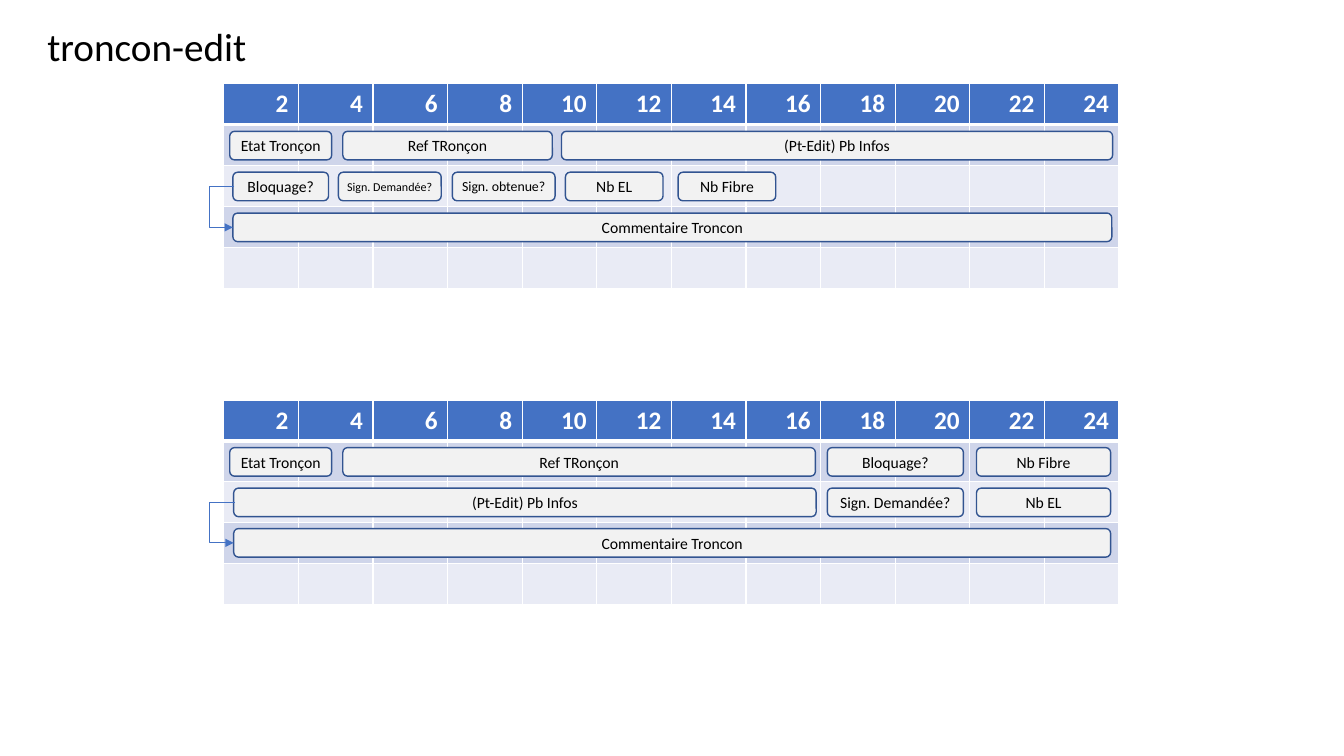
"""Build the troncon-edit slide: two 24-column form grids with their fields."""
from lxml import etree
from pptx import Presentation
from pptx.dml.color import RGBColor
from pptx.enum import shapes, text
from pptx.oxml import ns
from pptx.util import Cm, Pt

BLACK = RGBColor(0x00, 0x00, 0x00)
WHITE = RGBColor(0xFF, 0xFF, 0xFF)
BLUE = RGBColor(0x44, 0x72, 0xC4)
NAVY = RGBColor(0x32, 0x54, 0x91)
GREY = RGBColor(0xF2, 0xF2, 0xF2)
BANDS = RGBColor(0xCF, 0xD5, 0xEA), RGBColor(0xE9, 0xEB, 0xF5)

LEFT, COL, ROW = 5.64, 1.88, 1.03
COLS, ROWS = 12, 5
HIGH, FIRST = 0.72, 1.2


class Deck:
    """Hold the style and the current slide."""

    font = "Calibri"

    def __init__(self):
        self.prs = Presentation()
        self.prs.slide_width, self.prs.slide_height = Cm(33.87), Cm(19.05)
        self.slide = self.prs.slides.add_slide(self.prs.slide_layouts[5])

    def label(self, frame, words, size, color=BLACK, align=text.PP_ALIGN.CENTER, bold=False):
        par = frame.paragraphs[0]
        par.alignment = align
        run = par.add_run()
        run.text = words
        run.font.name, run.font.size, run.font.bold = self.font, Pt(size), bold
        run.font.color.rgb = color

    def title(self, words):
        box = self.slide.shapes.title
        box.left, box.top, box.width, box.height = Cm(0.94), Cm(0.43), Cm(11.5), Cm(1.45)
        frame = box.text_frame
        frame.auto_size = text.MSO_AUTO_SIZE.NONE
        frame.vertical_anchor = text.MSO_ANCHOR.MIDDLE
        self.label(frame, words, 28, align=text.PP_ALIGN.LEFT)

    def edge(self, cell, side, width):
        line = etree.SubElement(cell._tc.get_or_add_tcPr(), ns.qn("a:ln" + side), w=str(Pt(width)))
        fill = etree.SubElement(line, ns.qn("a:solidFill"))
        etree.SubElement(fill, ns.qn("a:srgbClr"), val=str(WHITE))

    def grid(self, top):
        frame = self.slide.shapes.add_table(
            ROWS, COLS, Cm(LEFT), Cm(top), Cm(COLS * COL), Cm(ROWS * ROW))
        table = frame.table
        for col in table.columns:
            col.width = Cm(COL)
        for y, row in enumerate(table.rows):
            row.height = Cm(ROW)
            for x, cell in enumerate(row.cells):
                thick = {"T": 3 if y == 1 else 1, "B": 3 if y == 0 else 1}
                for side in "LRTB":
                    self.edge(cell, side, thick.get(side, 1))
                cell.fill.solid()
                cell.fill.fore_color.rgb = BANDS[(y - 1) % 2] if y else BLUE
                if y == 0:
                    self.label(cell.text_frame, str(2 * x + 2), 18, WHITE,
                               text.PP_ALIGN.RIGHT, True)

    def field(self, words, left, top, width, size=11.2):
        box = self.slide.shapes.add_shape(
            shapes.MSO_SHAPE.ROUNDED_RECTANGLE, Cm(left), Cm(top), Cm(width), Cm(HIGH))
        box.shadow.inherit = False
        box.fill.solid()
        box.fill.fore_color.rgb = GREY
        box.line.color.rgb, box.line.width = NAVY, Pt(1)
        frame = box.text_frame
        frame.word_wrap = True
        frame.vertical_anchor = text.MSO_ANCHOR.MIDDLE
        frame.margin_left = frame.margin_right = Cm(0.1)
        frame.margin_top = frame.margin_bottom = Cm(0.13)
        self.label(frame, words, size)

    def arrow(self, left, start, end):
        back, reach = 0.03, 0.6
        link = self.slide.shapes.add_connector(
            shapes.MSO_CONNECTOR.ELBOW, Cm(left + back), Cm(start), Cm(left), Cm(end))
        link.line.color.rgb, link.line.width = BLUE, Pt(0.5)
        prop = link._element.spPr
        guide = prop.find(ns.qn("a:prstGeom")).find(ns.qn("a:avLst"))
        bend = round((reach + back) / back * 100000)
        etree.SubElement(guide, ns.qn("a:gd"), name="adj1", fmla=f"val {bend}")
        etree.SubElement(prop.find(ns.qn("a:ln")), ns.qn("a:tailEnd"), type="triangle")
        etree.SubElement(prop, ns.qn("a:effectLst"))

    def form(self, top, pitch, rows):
        self.grid(top)
        tops = [top + FIRST + n * pitch for n in range(len(rows))]
        for y, row in zip(tops, rows):
            for words, left, width, *size in row:
                self.field(words, left, y, width, *size)
        self.arrow(rows[-1][0][1], tops[1] + HIGH / 2, tops[2] + HIGH / 2)


STATE = ("Etat Tronçon", 5.79, 2.57)
WIDE = [
    [STATE, ("Ref TRonçon", 8.64, 5.28), ("(Pt-Edit) Pb Infos", 14.15, 13.89)],
    [("Bloquage?", 5.87, 2.41), ("Sign. Demandée?", 8.53, 2.59, 8.6),
     ("Sign. obtenue?", 11.4, 2.59, 9.9), ("Nb EL", 14.25, 2.46), ("Nb Fibre", 17.09, 2.46)],
    [("Commentaire Troncon", 5.87, 22.15)],
]
TIGHT = [
    [STATE, ("Ref TRonçon", 8.64, 11.91), ("Bloquage?", 20.85, 3.43), ("Nb Fibre", 24.61, 3.38)],
    [("(Pt-Edit) Pb Infos", 5.89, 14.68), ("Sign. Demandée?", 20.85, 3.43),
     ("Nb EL", 24.61, 3.38)],
    [("Commentaire Troncon", 5.89, 22.1)],
]

deck = Deck()
deck.title("troncon-edit")
deck.form(2.11, 1.03, WIDE)
deck.form(10.08, 1.02, TIGHT)
deck.prs.save("out.pptx")
